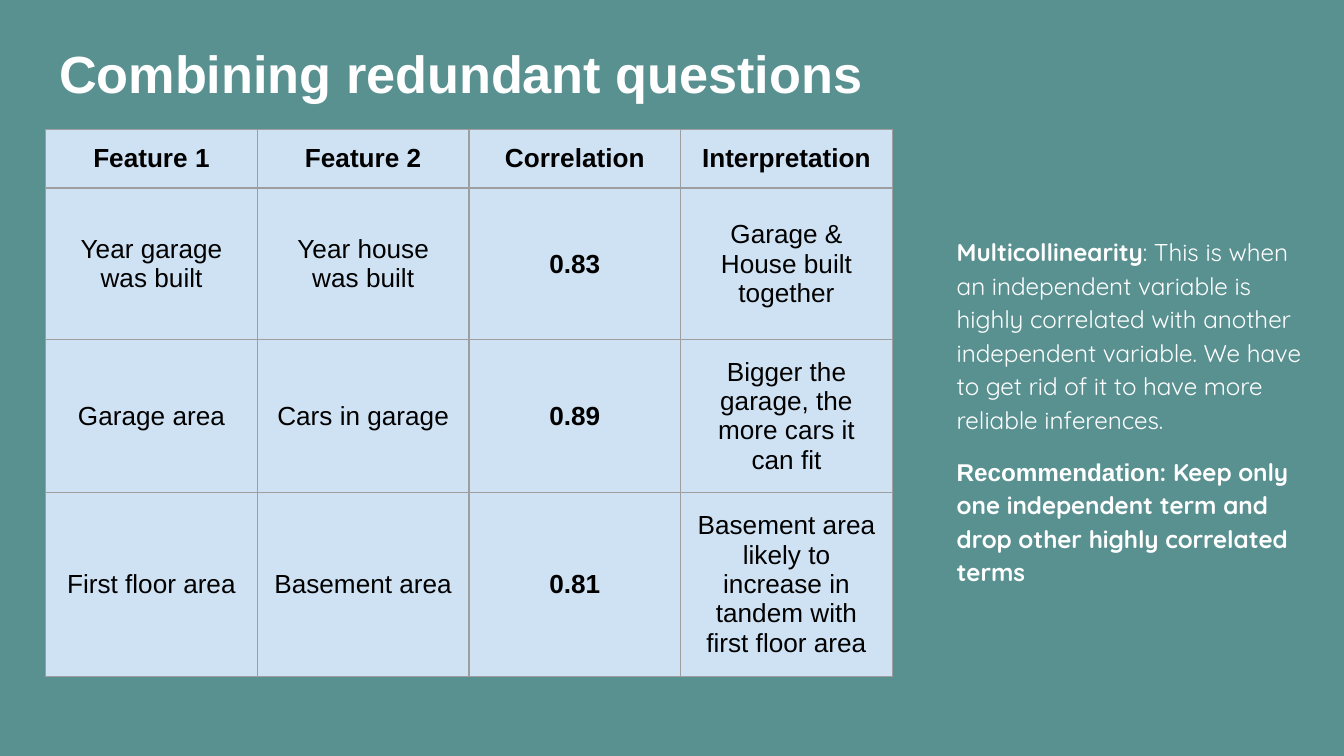
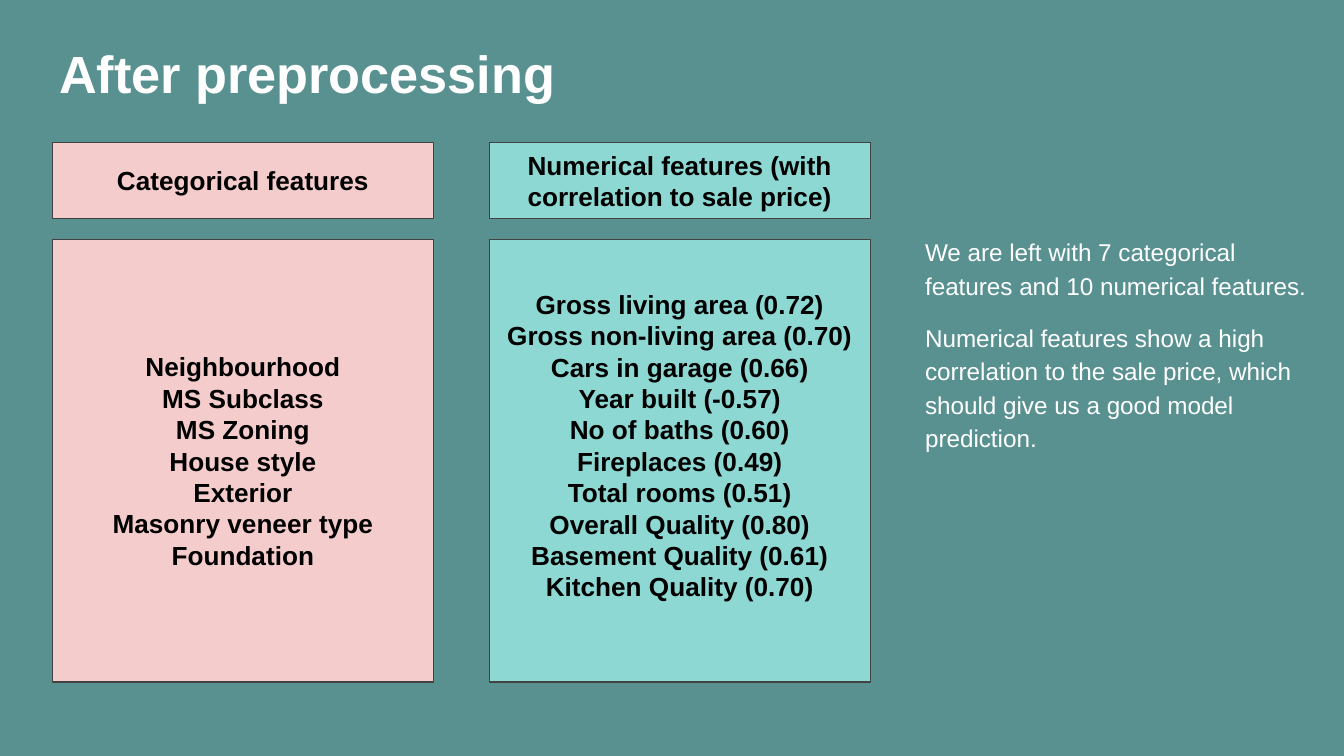
"""Build two slides on redundant survey features and the features left after preprocessing."""
from dataclasses import dataclass
from typing import Any, NamedTuple

from lxml.etree import SubElement
from pptx import Presentation
from pptx.dml.color import RGBColor
from pptx.enum.shapes import MSO_SHAPE as Shape
from pptx.enum.text import MSO_ANCHOR as Anchor, MSO_AUTO_SIZE as AutoSize, PP_ALIGN as Align
from pptx.oxml.ns import qn
from pptx.util import Emu, Pt

EMU_PER_PX = 4572

TEAL = RGBColor(0x59, 0x91, 0x91)
WHITE = RGBColor(0xFF, 0xFF, 0xFF)
BLACK = RGBColor(0x00, 0x00, 0x00)
PALE_BLUE = RGBColor(0xCF, 0xE2, 0xF3)
PINK = RGBColor(0xF4, 0xCC, 0xCC)
AQUA = RGBColor(0x8D, 0xD8, 0xD3)
OUTLINE = RGBColor(0x42, 0x42, 0x42)
GRID = RGBColor(0x9E, 0x9E, 0x9E)

SANS = "Arial"
ROUNDED = "Quicksand"
INSET = 20
LINE_WIDTH = Pt(0.75)


def px(length: int) -> Emu:
    return Emu(length * EMU_PER_PX)


MARGINS = {f"margin_{side}": px(INSET) for side in ("left", "top", "right", "bottom")}
TITLE_FRAME = {**MARGINS, "word_wrap": True, "auto_size": AutoSize.NONE, "vertical_anchor": Anchor.TOP}
COMMENT_FRAME = {**TITLE_FRAME, "auto_size": AutoSize.SHAPE_TO_FIT_TEXT}
PANEL_FRAME = {**TITLE_FRAME, "vertical_anchor": Anchor.MIDDLE}
CELL = {**MARGINS, "vertical_anchor": Anchor.MIDDLE}

TITLE_FONT = {"size": Pt(28), "name": SANS, "bold": True}
COMMENT_FONT = {"size": Pt(13), "name": SANS, "bold": False}
BODY_FONT = {"size": Pt(14), "name": SANS, "bold": True}

COMMENT_SPACING = {"line_spacing": 1.15, "space_before": Pt(0), "space_after": Pt(0)}
NEXT_COMMENT_SPACING = {**COMMENT_SPACING, "space_before": Pt(10), "space_after": Pt(10)}
CENTERED = {"alignment": Align.CENTER}


class Box(NamedTuple):
    left: int
    top: int
    width: int
    height: int

    def emu(self) -> list[Emu]:
        return [px(length) for length in self]


class Phrase(NamedTuple):
    text: str
    font: str = SANS
    bold: bool = False


@dataclass(frozen=True)
class FeatureGroup:
    heading: str
    features: list[str]
    color: RGBColor
    bottom_inset: int = INSET


TITLE_BOX = Box(68, 42, 1538, 170)
TABLE_LEFT, TABLE_TOP, COLUMN_WIDTH = 68, 193, 315
ROW_HEIGHTS = [86, 226, 226, 274]
CORRELATION_COLUMN = 2
GROUP_LEFT, GROUP_WIDTH, GROUP_STEP = 78, 567, 650
HEADING_TOP, HEADING_HEIGHT = 212, 113
LIST_TOP, LIST_HEIGHT = 356, 659

CORRELATIONS = [
    ["Feature 1", "Feature 2", "Correlation", "Interpretation"],
    ["Year garage was built", "Year house was built", "0.83", "Garage & House built together"],
    ["Garage area", "Cars in garage", "0.89", "Bigger the garage, the more cars it can fit"],
    ["First floor area", "Basement area", "0.81",
     "Basement area likely to increase in tandem with first floor area"],
]

MULTICOLLINEARITY = [
    [Phrase("Multicollinearity", ROUNDED, True),
     Phrase(": This is when an independent variable is highly correlated with another independent "
            "variable. We have to get rid of it to have more reliable inferences.", ROUNDED)],
    [Phrase("Recommendation", SANS, True),
     Phrase(": Keep only one independent term and drop other highly correlated terms", ROUNDED, True)],
]

REMAINING = [
    [Phrase("We are left with 7 categorical features and 10 numerical features.")],
    [Phrase("Numerical features show a high correlation to the sale price, which should give us "
            "a good model prediction.")],
]

GROUPS = [
    FeatureGroup(
        "Categorical features",
        ["Neighbourhood", "MS Subclass", "MS Zoning", "House style", "Exterior",
         "Masonry veneer type", "Foundation"],
        PINK),
    FeatureGroup(
        "Numerical features (with correlation to sale price)",
        ["Gross living area (0.72)", "Gross non-living area (0.70)", "Cars in garage (0.66)",
         "Year built (-0.57)", "No of baths (0.60)", "Fireplaces (0.49)", "Total rooms (0.51)",
         "Overall Quality (0.80)", "Basement Quality (0.61)", "Kitchen Quality (0.70)"],
        AQUA, bottom_inset=66),
]


def apply(target: Any, values: dict[str, Any]) -> None:
    for name, value in values.items():
        setattr(target, name, value)


def write(paragraph: Any, text: str, font: dict[str, Any], color: RGBColor) -> None:
    run = paragraph.add_run()
    run.text = text
    apply(run.font, font)
    run.font.color.rgb = color


def paragraph_at(frame: Any, index: int) -> Any:
    return frame.add_paragraph() if index else frame.paragraphs[0]


def add_titled_slide(deck: Any, heading: str) -> Any:
    slide = deck.slides.add_slide(deck.slide_layouts[5])
    title = slide.shapes.title
    apply(title, dict(zip(TITLE_BOX._fields, TITLE_BOX.emu())))
    apply(title.text_frame, TITLE_FRAME)
    paragraph = title.text_frame.paragraphs[0]
    paragraph.alignment = Align.LEFT
    write(paragraph, heading, TITLE_FONT, WHITE)
    return slide


def add_comment(slide: Any, box: Box, paragraphs: list[list[Phrase]]) -> None:
    frame = slide.shapes.add_textbox(*box.emu()).text_frame
    apply(frame, COMMENT_FRAME)
    for index, phrases in enumerate(paragraphs):
        paragraph = paragraph_at(frame, index)
        apply(paragraph, NEXT_COMMENT_SPACING if index else COMMENT_SPACING)
        for phrase in phrases:
            font = {**COMMENT_FONT, "name": phrase.font, "bold": phrase.bold}
            write(paragraph, phrase.text, font, WHITE)


def add_borders(cell: Any) -> None:
    properties = cell._tc.get_or_add_tcPr()
    for side in ("lnL", "lnR", "lnT", "lnB"):
        border = SubElement(properties, qn(f"a:{side}"), w=str(LINE_WIDTH))
        fill = SubElement(border, qn("a:solidFill"))
        SubElement(fill, qn("a:srgbClr"), val=str(GRID))


def add_correlation_table(slide: Any) -> None:
    columns = len(CORRELATIONS[0])
    box = Box(TABLE_LEFT, TABLE_TOP, COLUMN_WIDTH * columns, sum(ROW_HEIGHTS))
    table = slide.shapes.add_table(len(CORRELATIONS), columns, *box.emu()).table
    apply(table, {"first_row": False, "horz_banding": False})
    for column in table.columns:
        column.width = px(COLUMN_WIDTH)
    for row_index, (texts, height) in enumerate(zip(CORRELATIONS, ROW_HEIGHTS)):
        table.rows[row_index].height = px(height)
        for column_index, text in enumerate(texts):
            cell = table.cell(row_index, column_index)
            apply(cell, CELL)
            add_borders(cell)
            cell.fill.solid()
            cell.fill.fore_color.rgb = PALE_BLUE
            paragraph = cell.text_frame.paragraphs[0]
            apply(paragraph, CENTERED)
            bold = row_index == 0 or column_index == CORRELATION_COLUMN
            write(paragraph, text, {**BODY_FONT, "bold": bold}, BLACK)


def add_panel(slide: Any, box: Box, lines: list[str], color: RGBColor, bottom_inset: int = INSET) -> None:
    panel = slide.shapes.add_shape(Shape.RECTANGLE, *box.emu())
    panel.shadow.inherit = False
    panel.fill.solid()
    panel.fill.fore_color.rgb = color
    panel.line.color.rgb = OUTLINE
    panel.line.width = LINE_WIDTH
    frame = panel.text_frame
    apply(frame, {**PANEL_FRAME, "margin_bottom": px(bottom_inset)})
    for index, line in enumerate(lines):
        paragraph = paragraph_at(frame, index)
        apply(paragraph, CENTERED)
        write(paragraph, line, BODY_FONT, BLACK)


def add_feature_groups(slide: Any) -> None:
    for index, group in enumerate(GROUPS):
        left = GROUP_LEFT + index * GROUP_STEP
        heading_box = Box(left, HEADING_TOP, GROUP_WIDTH, HEADING_HEIGHT)
        list_box = Box(left, LIST_TOP, GROUP_WIDTH, LIST_HEIGHT)
        add_panel(slide, heading_box, [group.heading], group.color)
        add_panel(slide, list_box, group.features, group.color, group.bottom_inset)


def main() -> None:
    deck = Presentation()
    apply(deck, {"slide_width": px(2000), "slide_height": px(1125)})
    backdrop = deck.slide_master.background.fill
    backdrop.solid()
    backdrop.fore_color.rgb = TEAL

    redundancy = add_titled_slide(deck, "Combining redundant questions")
    add_comment(redundancy, Box(1404, 327, 562, 566), MULTICOLLINEARITY)
    add_correlation_table(redundancy)

    preprocessed = add_titled_slide(deck, "After preprocessing")
    add_comment(preprocessed, Box(1357, 327, 608, 414), REMAINING)
    add_feature_groups(preprocessed)

    deck.save("out.pptx")


if __name__ == "__main__":
    main()
